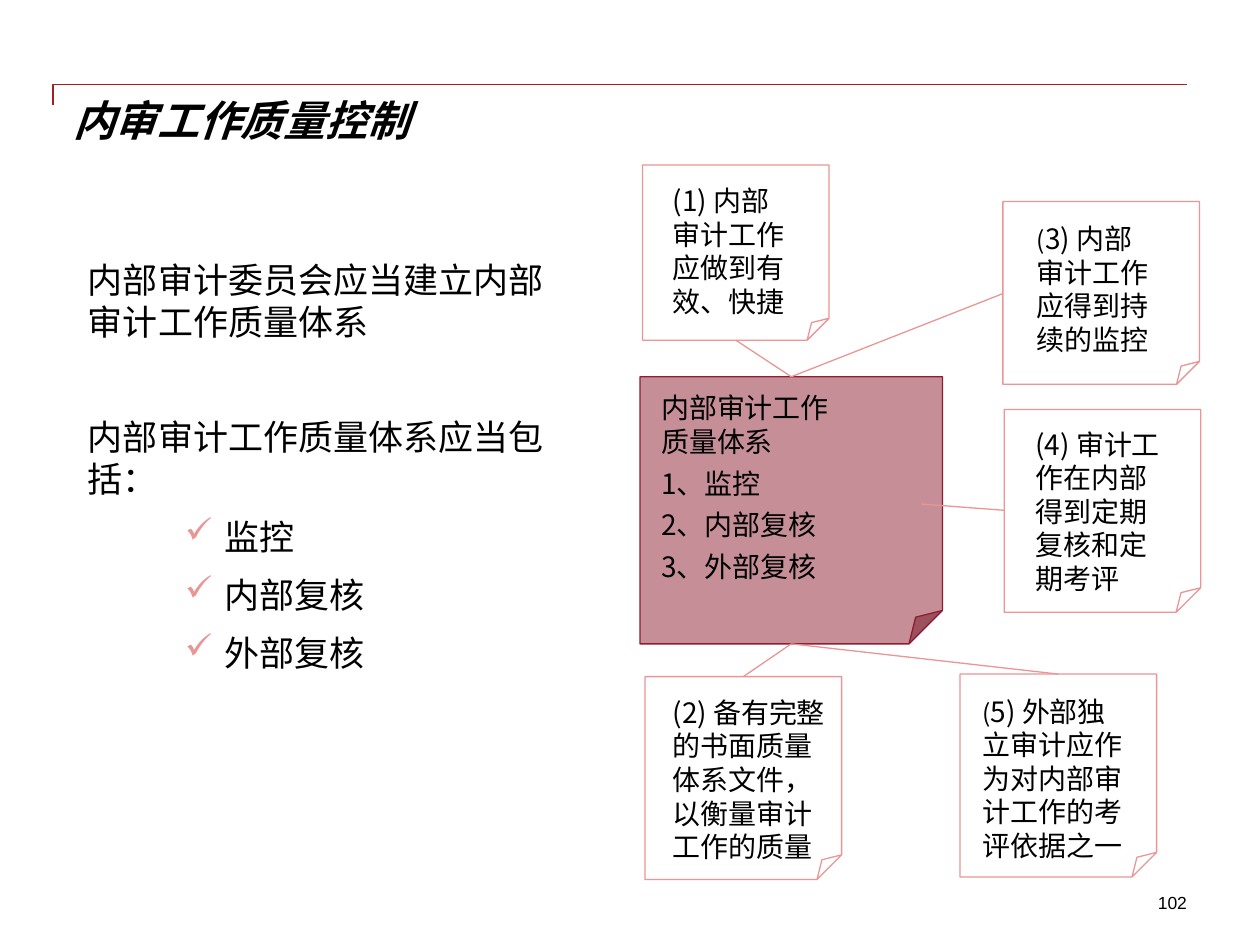
import dataclasses

import pptx
import pptx.dml.color
import pptx.enum.shapes
import pptx.enum.text
import pptx.oxml
import pptx.oxml.ns
import pptx.util

Inches = pptx.util.Inches
Pt = pptx.util.Pt
RGB = pptx.dml.color.RGBColor.from_string
qn = pptx.oxml.ns.qn
PP_ALIGN = pptx.enum.text.PP_ALIGN


@dataclasses.dataclass(frozen=True)
class Theme:
    ink: str = "000000"
    rule: str = "A32020"
    system: str = "8E1E31"
    note: str = "EA9696"
    latin: str = "Arial"
    chinese: str = "Noto Sans CJK SC"
    title_size: int = 24
    body_size: int = 20
    note_size: int = 16
    small_paren_size: int = 14
    number_size: int = 10
    line_width: float = 0.75
    leading: float = 1.2


THEME = Theme()

NOTES = [
    ((5.10, 1.31, 1.48, 1.39), (5.24, 1.41, 1.17, 1.58),
     "", "(1) 内部审计工作应做到有效、快捷"),
    ((5.12, 5.37, 1.56, 1.61), (5.24, 5.47, 1.47, 1.45),
     "", "(2) 备有完整的书面质量体系文件，以衡量审计工作的质量"),
    ((7.96, 1.60, 1.56, 1.45), (8.13, 1.71, 1.17, 1.17),
     "(", "3) 内部审计工作应得到持续的监控"),
    ((7.97, 3.25, 1.56, 1.61), (8.12, 3.34, 1.24, 1.45),
     "", "(4) 审计工作在内部得到定期复核和定期考评"),
    ((7.62, 5.35, 1.56, 1.61), (7.70, 5.46, 1.32, 1.44),
     "(", "5) 外部独立审计应作为对内部审计工作的考评依据之一"),
]

LINKS = [
    ((5.84, 2.70), (6.28, 2.99)),
    ((6.28, 5.11), (5.90, 5.37)),
    ((7.96, 2.33), (6.28, 2.99)),
    ((7.31, 4.00), (7.97, 4.05)),
    ((8.40, 5.35), (6.28, 5.11)),
]


def apply(target, formats):
    for name, value in formats.items():
        setattr(target, name, value)


def lengths(values):
    return [Inches(value) for value in values]


def add_child(parent, tag, **attributes):
    child = pptx.oxml.parse_xml(f"<{tag} {pptx.oxml.ns.nsdecls('a')}/>")
    for name, value in attributes.items():
        child.set(name, str(value))
    parent.append(child)
    return child


def add_frame(slide, box, inset=(0.1, 0.05)):
    frame = slide.shapes.add_textbox(*lengths(box)).text_frame
    across, down = lengths(inset)
    apply(frame, {
        "word_wrap": True, "margin_left": across, "margin_right": across,
        "margin_top": down, "margin_bottom": down,
    })
    return frame


def add_run(paragraph, text, size, face, **emphasis):
    run = paragraph.add_run()
    run.text = text
    apply(run.font, {"size": Pt(size), "name": face, **emphasis})
    run.font.color.rgb = RGB(THEME.ink)
    if face == THEME.chinese:
        add_child(run.font._element, "a:ea", typeface=face)


def write(frame, text, size, face=THEME.chinese, spacing=None, **emphasis):
    first = frame.paragraphs[0]
    paragraph = frame.add_paragraph() if first.runs else first
    apply(paragraph, {"line_spacing": Pt(size * THEME.leading), **(spacing or {})})
    add_run(paragraph, text, size, face, **emphasis)
    return paragraph


def add_check(paragraph):
    properties = paragraph._p.get_or_add_pPr()
    properties.set("marL", str(Inches(1.08)))
    properties.set("indent", str(Inches(-0.31)))
    bullet_color = add_child(properties, "a:buClr")
    add_child(bullet_color, "a:srgbClr", val=THEME.note)
    add_child(properties, "a:buChar", char="✓")


def add_folded_sheet(slide, box, outline):
    sheet = slide.shapes.add_shape(
        pptx.enum.shapes.MSO_SHAPE.FOLDED_CORNER, *lengths(box))
    sheet.shadow.inherit = False
    fold = sheet._element.spPr.find(qn("a:prstGeom")).find(qn("a:avLst"))
    add_child(fold, "a:gd", name="adj", fmla="val 12500")
    sheet.fill.background()
    sheet.line.color.rgb = RGB(outline)
    sheet.line.width = Pt(THEME.line_width)
    return sheet


def add_link(slide, start, end):
    link = slide.shapes.add_connector(
        pptx.enum.shapes.MSO_CONNECTOR.STRAIGHT, *lengths(start + end))
    link.line.color.rgb = RGB(THEME.note)
    link.line.width = Pt(THEME.line_width)
    add_child(link._element.spPr, "a:effectLst")


def add_header(slide):
    outline = slide.shapes.build_freeform(Inches(0.42), Inches(0.83))
    outline.add_line_segments(
        [lengths(point) for point in [(0.42, 0.67), (9.42, 0.67)]], close=False)
    rule = outline.convert_to_shape()
    rule.shadow.inherit = False
    rule.fill.background()
    rule.line.color.rgb = RGB(THEME.rule)
    rule.line.width = Pt(1)
    title = add_frame(slide, (0.58, 0.75, 8.83, 1), (0, 0))
    write(title, "内审工作质量控制", THEME.title_size, THEME.latin,
          bold=True, italic=True)


def add_requirements(slide):
    frame = add_frame(slide, (0.6, 2, 3.94, 4.95))
    size = THEME.body_size
    write(frame, "内部审计委员会应当建立内部审计工作质量体系", size,
          spacing={"space_after": Pt(42)})
    write(frame, "内部审计工作质量体系应当包括：", size,
          spacing={"space_after": Pt(9)})
    for requirement in ["监控", "内部复核", "外部复核"]:
        add_check(write(frame, requirement, size,
                        spacing={"space_after": Pt(9)}))


def add_quality_system(slide):
    sheet = add_folded_sheet(slide, (5.08, 2.99, 2.4, 2.12), THEME.system)
    sheet.fill.solid()
    sheet.fill.fore_color.rgb = RGB(THEME.system)
    tint = sheet._element.spPr.find(qn("a:solidFill")).find(qn("a:srgbClr"))
    add_child(tint, "a:alpha", val=50000)
    frame = add_frame(slide, (5.15, 3.05, 2.16, 1.89))
    for heading in ["内部审计工作", "质量体系"]:
        write(frame, heading, THEME.note_size)
    for part in ["1、监控", "2、内部复核", "3、外部复核"]:
        write(frame, part, THEME.note_size, spacing={"space_before": Pt(4.8)})


def add_note(slide, sheet_box, text_box, small_paren, text):
    add_folded_sheet(slide, sheet_box, THEME.note)
    frame = add_frame(slide, text_box)
    if small_paren:
        paragraph = write(frame, small_paren, THEME.small_paren_size)
        paragraph.line_spacing = Pt(THEME.note_size * THEME.leading)
        add_run(paragraph, text, THEME.note_size, THEME.chinese)
    else:
        write(frame, text, THEME.note_size)


def main():
    deck = pptx.Presentation()
    apply(deck, {"slide_width": Inches(10), "slide_height": Inches(7.5)})
    slide = deck.slides.add_slide(deck.slide_layouts[6])
    add_header(slide)
    add_requirements(slide)
    add_quality_system(slide)
    for start, end in LINKS:
        add_link(slide, start, end)
    for note in NOTES:
        add_note(slide, *note)
    page_number = add_frame(slide, (7.75, 7.08, 1.67, 0.17), (0, 0))
    write(page_number, "102", THEME.number_size, THEME.latin,
          {"alignment": PP_ALIGN.RIGHT})
    deck.save("out.pptx")


if __name__ == "__main__":
    main()
